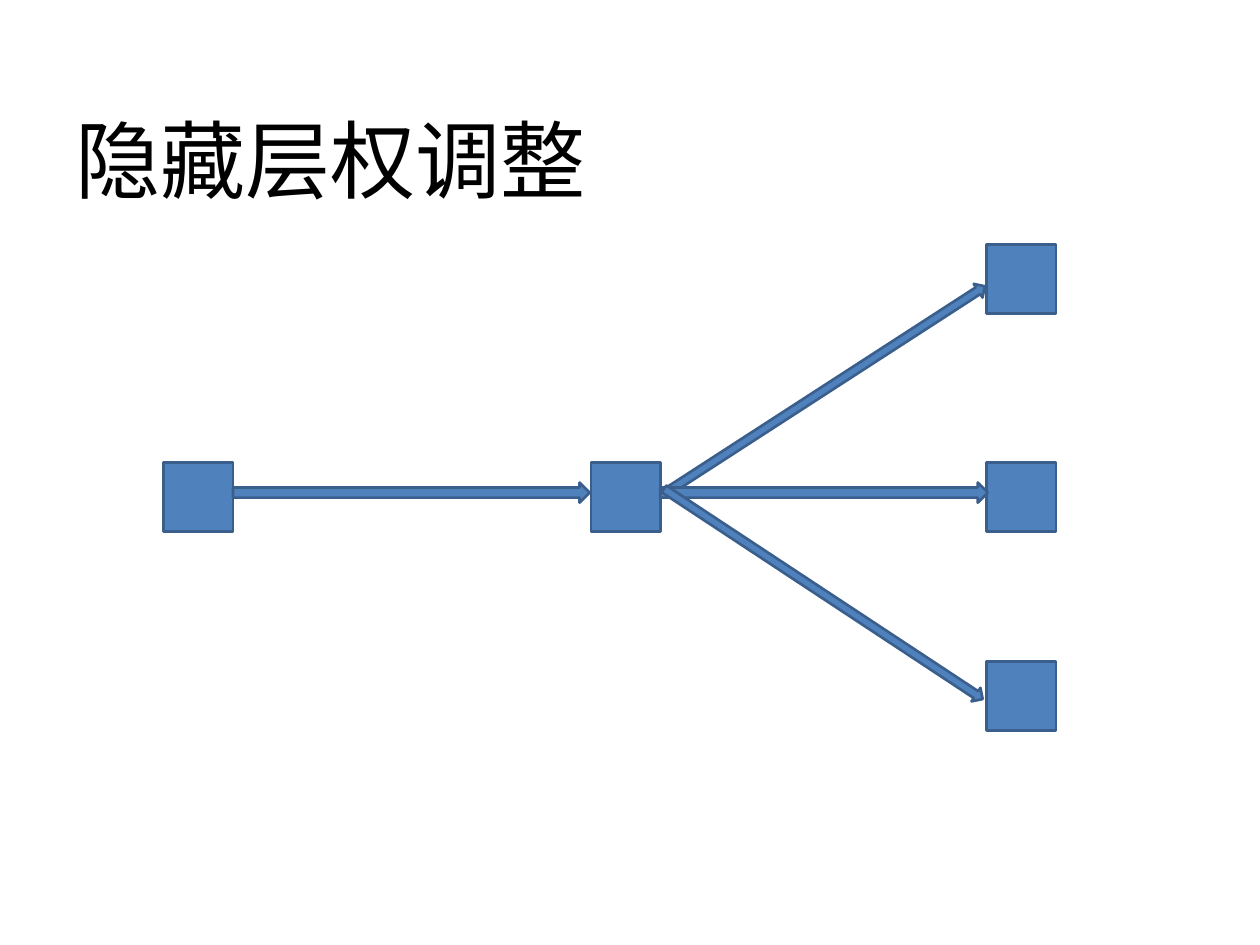
from dataclasses import dataclass

from lxml import etree
from pptx import Presentation
from pptx.dml.color import RGBColor
from pptx.enum.shapes import MSO_SHAPE
from pptx.enum.text import MSO_ANCHOR
from pptx.oxml.ns import qn
from pptx.util import Inches, Pt

RECTANGLE = MSO_SHAPE.RECTANGLE
RIGHT_ARROW = MSO_SHAPE.RIGHT_ARROW
MIDDLE = MSO_ANCHOR.MIDDLE

BLUE = RGBColor(0x4F, 0x81, 0xBD)
DARK_BLUE = RGBColor(0x3A, 0x5F, 0x8C)
BLACK = RGBColor(0, 0, 0)
FONT = "Noto Sans CJK SC"

NODE_SIZE = 0.55
INPUT_X, HIDDEN_X, OUTPUT_X = 1.3, 4.69, 7.83
MIDDLE_Y = 3.67


@dataclass
class Node:
    left: float
    top: float


@dataclass
class Arrow:
    left: float
    top: float
    width: float
    height: float
    rotation: float = 0


NODES = [Node(INPUT_X, MIDDLE_Y), Node(HIDDEN_X, MIDDLE_Y)] + [
    Node(OUTPUT_X, top) for top in (1.94, MIDDLE_Y, 5.25)
]
ARROWS = [
    Arrow(1.85, 3.83, 2.83, 0.16),
    Arrow(5.03, 3.03, 3.03, 0.13, 327.1),
    Arrow(5.24, 3.83, 2.6, 0.16),
    Arrow(5.02, 4.65, 3.03, 0.13, 33.4),
]


def add_block(slide, kind: MSO_SHAPE, left: float, top: float,
              width: float, height: float, rotation: float = 0) -> None:
    shape = slide.shapes.add_shape(
        kind, Inches(left), Inches(top), Inches(width), Inches(height))
    shape.rotation = rotation
    shape.shadow.inherit = False
    shape.fill.solid()
    shape.fill.fore_color.rgb = BLUE
    shape.line.color.rgb = DARK_BLUE
    shape.line.width = Pt(1.5)


def add_title(slide, text: str) -> None:
    box = slide.shapes.add_textbox(Inches(0.5), Inches(0.76), Inches(9), Inches(1))
    text_frame = box.text_frame
    text_frame.word_wrap = True
    text_frame.vertical_anchor = MIDDLE
    text_frame.text = text
    run = text_frame.paragraphs[0].runs[0]
    run.font.size = Pt(48.6)
    run.font.color.rgb = BLACK
    run.font.name = FONT
    # Chinese characters take the East Asian typeface
    properties = run.font._element
    etree.SubElement(properties, qn("a:ea")).set("typeface", FONT)


def main() -> None:
    presentation = Presentation()
    presentation.slide_width = Inches(10)
    presentation.slide_height = Inches(7.5)
    slide = presentation.slides.add_slide(presentation.slide_layouts[6])

    add_title(slide, "隐藏层权调整")

    # Network nodes: input, hidden and three outputs
    for node in NODES:
        add_block(slide, RECTANGLE, node.left, node.top, NODE_SIZE, NODE_SIZE)

    # Weights between the layers
    for arrow in ARROWS:
        add_block(slide, RIGHT_ARROW, arrow.left, arrow.top,
                  arrow.width, arrow.height, arrow.rotation)

    presentation.save("out.pptx")


if __name__ == "__main__":
    main()
